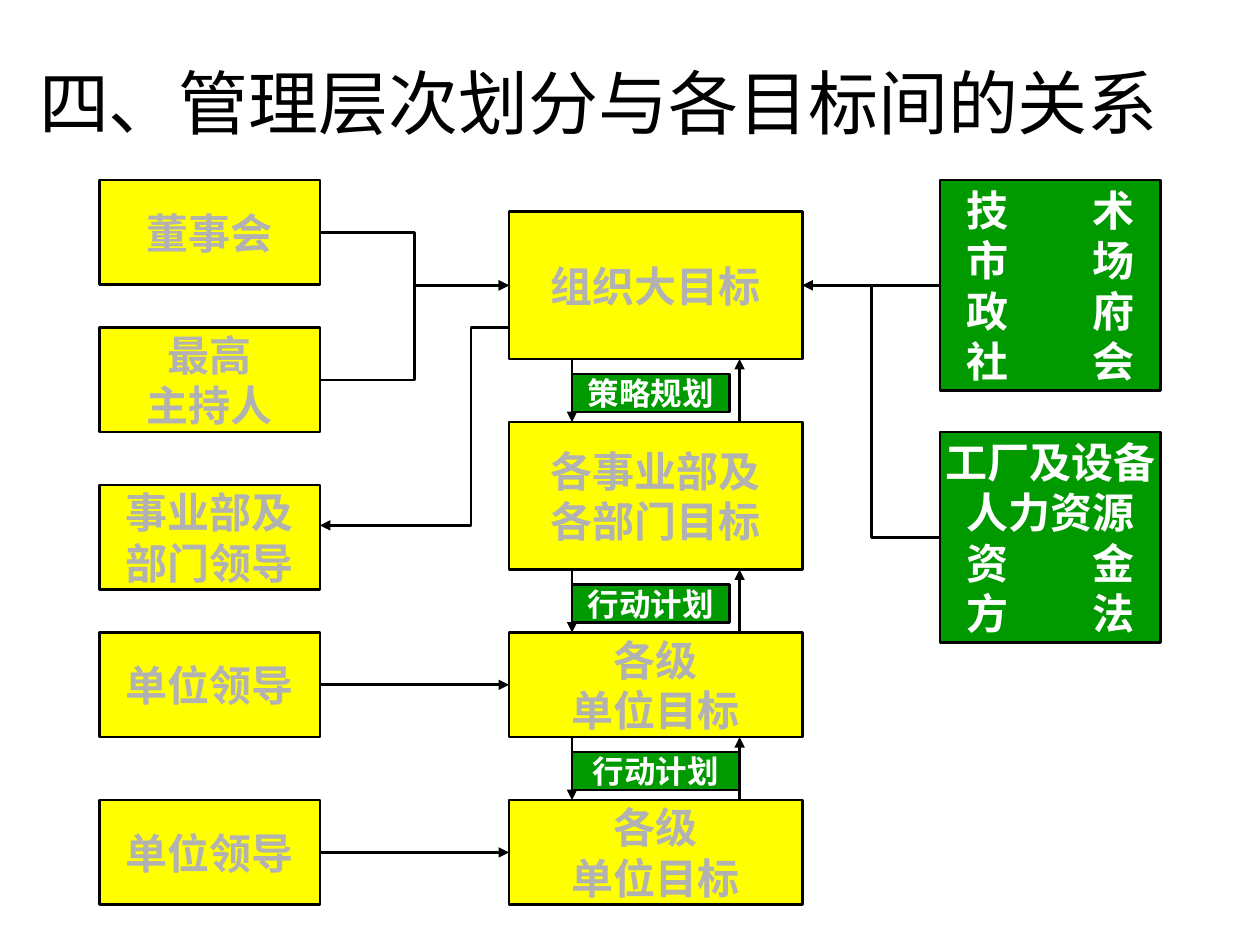
import pptx
import pptx.util
import pptx.dml.color
import pptx.enum.shapes
import pptx.enum.text
import pptx.oxml
import pptx.oxml.ns

Inches, Pt = pptx.util.Inches, pptx.util.Pt
RGBColor = pptx.dml.color.RGBColor
MIDDLE = pptx.enum.text.MSO_ANCHOR.MIDDLE
CENTER = pptx.enum.text.PP_ALIGN.CENTER
STRAIGHT = pptx.enum.shapes.MSO_CONNECTOR.STRAIGHT
ELBOW = pptx.enum.shapes.MSO_CONNECTOR.ELBOW

BLACK = RGBColor(0x00, 0x00, 0x00)
WHITE = RGBColor(0xFF, 0xFF, 0xFF)
GRAY = RGBColor(0xB2, 0xB2, 0xB2)
YELLOW = RGBColor(0xFF, 0xFF, 0x00)
GREEN = RGBColor(0x00, 0x99, 0x00)
BODY_FONT = "Noto Sans CJK SC"

# Columns: left edge and width; rows: top edges, in inches
PEOPLE, PEOPLE_WIDTH = 0.79, 1.75
GOALS, GOALS_WIDTH = 4.04, 2.33
FACTORS, FACTORS_WIDTH = 7.46, 1.75
PEOPLE_RIGHT, GOALS_RIGHT = PEOPLE + PEOPLE_WIDTH, GOALS + GOALS_WIDTH
LOW, TALL, FACTOR_HEIGHT, LABEL_HEIGHT = 0.83, 1.17, 1.67, 0.3
PEOPLE_ROWS = [1.43, 2.6, 3.85, 5.02, 6.35]
GOAL_ROWS = [1.68, 3.35, 5.02, 6.35]
GOAL_HEIGHTS = [TALL, TALL, LOW, LOW]
DOWN, UP = 4.54, 5.87

deck = pptx.Presentation()
deck.slide_width, deck.slide_height = Inches(10), Inches(7.5)
page = deck.slides.add_slide(deck.slide_layouts[5])


def add_box(left, top, width, height, lines, fill, color, size=24):
    """Draw a bordered box; two-character lines on green are spread apart."""
    box = page.shapes.add_shape(
        pptx.enum.shapes.MSO_SHAPE.RECTANGLE,
        Inches(left), Inches(top), Inches(width), Inches(height))
    box.shadow.inherit = False
    box.fill.solid()
    box.fill.fore_color.rgb = fill
    box.line.color.rgb = BLACK
    box.line.width = Pt(1.5)
    frame = box.text_frame
    frame.word_wrap = False
    frame.vertical_anchor = MIDDLE
    frame.margin_left = frame.margin_right = Inches(0.04)
    frame.margin_top = frame.margin_bottom = 0
    frame.text = "\n".join(lines)
    for para in frame.paragraphs:
        para.alignment = CENTER
        if fill == GREEN and len(para.text) == 2:
            first, last = para.text
            para.text = first
            para.add_run().text = last
            para.runs[0].font._element.set("spc", str(2 * size * 100))
        for span in para.runs:
            span.font.size = Pt(size)
            span.font.bold = True
            span.font.name = BODY_FONT
            span.font.color.rgb = color
            east_asian = pptx.oxml.parse_xml(
                f'<a:ea {pptx.oxml.ns.nsdecls("a")} typeface="{BODY_FONT}"/>')
            span.font._element.find(pptx.oxml.ns.qn("a:latin")).addnext(east_asian)


def add_arrow(kind, x1, y1, x2, y2, bend=None):
    """Draw an arrow; bend is the share of its width where an elbow turns."""
    arrow = page.shapes.add_connector(
        kind, Inches(x1), Inches(y1), Inches(x2), Inches(y2))
    arrow.line.color.rgb = BLACK
    arrow.line.width = Pt(1.5)
    namespace = pptx.oxml.ns.nsdecls("a")
    arrow.line._get_or_add_ln().append(
        pptx.oxml.parse_xml(f'<a:tailEnd {namespace} type="triangle"/>'))
    properties = arrow._element.spPr
    properties.append(pptx.oxml.parse_xml(f"<a:effectLst {namespace}/>"))
    if bend is not None:
        guides = properties.find(pptx.oxml.ns.qn("a:prstGeom")).get_or_add_avLst()
        guides.append(pptx.oxml.parse_xml(
            f'<a:gd {namespace} name="adj1" fmla="val {round(bend * 100000)}"/>'))


title = page.shapes.title
title.left, title.top = 0, Inches(0.42)
title.width, title.height = Inches(9.5), Inches(0.77)
title.text_frame.text = "四、管理层次划分与各目标间的关系"
title.text_frame.vertical_anchor = MIDDLE
heading = title.text_frame.paragraphs[0]
heading.alignment = CENTER
heading.runs[0].font.size = Pt(40)
heading.runs[0].font.name = "Times New Roman"
heading.runs[0].font.color.rgb = BLACK

people = [["董事会"], ["最高", "主持人"], ["事业部及", "部门领导"], ["单位领导"], ["单位领导"]]
for top, lines in zip(PEOPLE_ROWS, people):
    add_box(PEOPLE, top, PEOPLE_WIDTH, LOW, lines, YELLOW, GRAY)

goals = [["组织大目标"], ["各事业部及", "各部门目标"], ["各级", "单位目标"], ["各级", "单位目标"]]
for top, height, lines in zip(GOAL_ROWS, GOAL_HEIGHTS, goals):
    add_box(GOALS, top, GOALS_WIDTH, height, lines, YELLOW, GRAY)

factors = [(1.43, ["技术", "市场", "政府", "社会"]),
           (3.43, ["工厂及设备", "人力资源", "资金", "方法"])]
for top, lines in factors:
    add_box(FACTORS, top, FACTORS_WIDTH, FACTOR_HEIGHT, lines, GREEN, WHITE)

# Plans that link each goal with the one below it
plans = [("策略规划", 1.25), ("行动计划", 1.25), ("行动计划", 1.33)]
for index, (plan, width) in enumerate(plans):
    upper = GOAL_ROWS[index] + GOAL_HEIGHTS[index]
    lower = GOAL_ROWS[index + 1]
    add_arrow(STRAIGHT, DOWN, upper, DOWN, lower)
    add_arrow(STRAIGHT, UP, lower, UP, upper)
    add_box(DOWN, (upper + lower - LABEL_HEIGHT) / 2 + 0.02, width, LABEL_HEIGHT,
            [plan], GREEN, WHITE, 18)

# Influences on the top goal, then the leaders of each level
main_goal = GOAL_ROWS[0] + TALL / 2
add_arrow(STRAIGHT, FACTORS, main_goal, GOALS_RIGHT, main_goal)
add_arrow(ELBOW, FACTORS, PEOPLE_ROWS[2] + LOW / 2, GOALS_RIGHT, main_goal)
for top in PEOPLE_ROWS[:2]:
    add_arrow(ELBOW, PEOPLE_RIGHT, top + LOW / 2, GOALS, main_goal)
for top in PEOPLE_ROWS[3:]:
    add_arrow(STRAIGHT, PEOPLE_RIGHT, top + LOW / 2, GOALS, top + LOW / 2)
add_arrow(ELBOW, GOALS, 2.6, PEOPLE_RIGHT, 4.17, bend=0.2)

deck.save("out.pptx")
